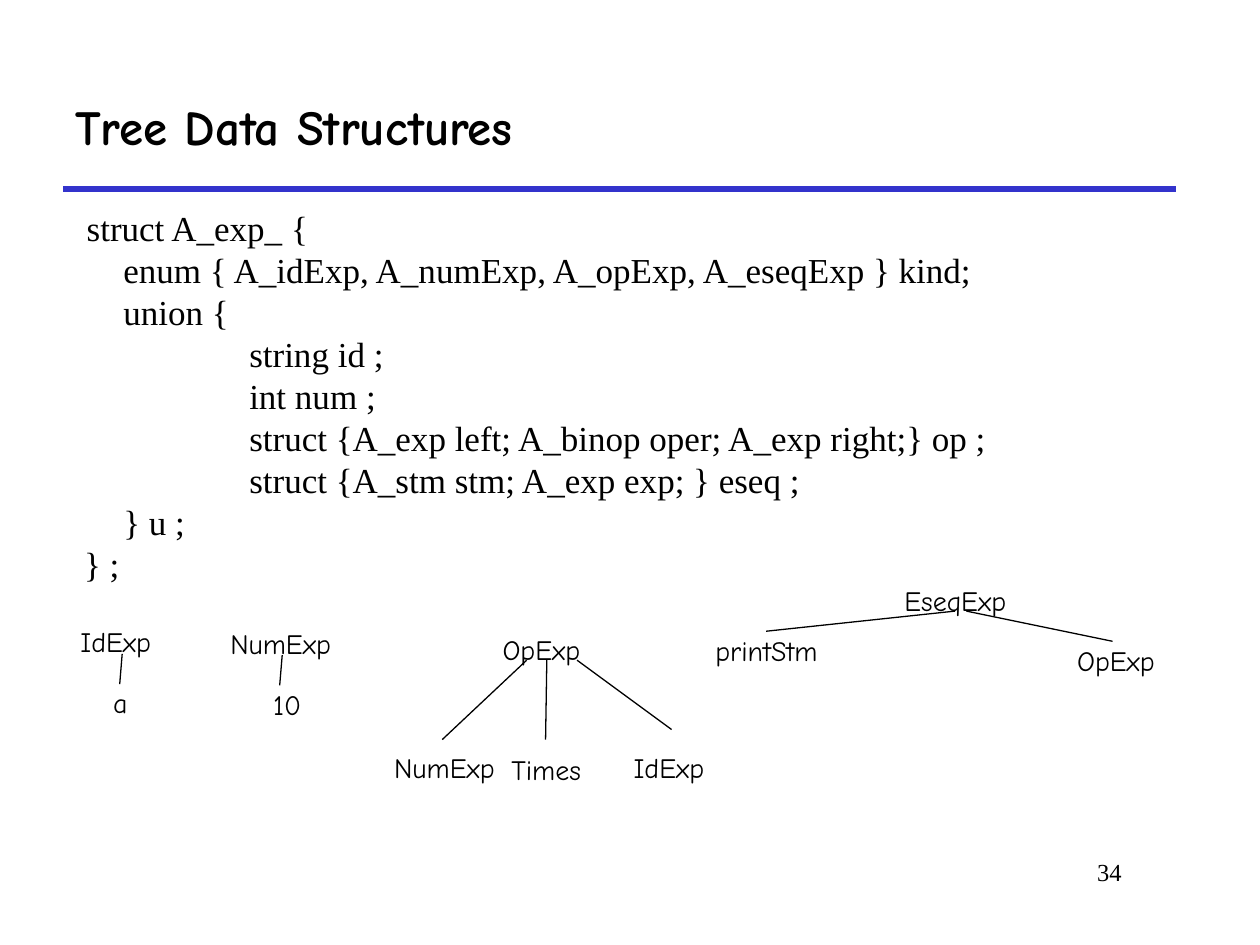
import dataclasses
import typing

import lxml.etree
import pptx
import pptx.dml.color
import pptx.enum.shapes
import pptx.enum.text
import pptx.oxml.ns
import pptx.util

Inches = pptx.util.Inches
Pt = pptx.util.Pt
Align = pptx.enum.text.PP_ALIGN
Anchor = pptx.enum.text.MSO_ANCHOR

COLORS = {"text": "000000", "rule": "3333CC"}
HAND, SERIF = "Comic Neue", "Times New Roman"
CODE = """ struct A_exp_ {
\tenum { A_idExp, A_numExp, A_opExp, A_eseqExp } kind;
\tunion {
\t\tstring id ;
\t\tint num ;
\t\tstruct {A_exp left; A_binop oper; A_exp right;} op ;
\t\tstruct {A_stm stm; A_exp exp; } eseq ;
\t} u ;
 } ;"""


@dataclasses.dataclass
class Node:
    text: str
    left: float
    top: float
    width: float


@dataclasses.dataclass
class Edge:
    x1: float
    y1: float
    x2: float
    y2: float


@dataclasses.dataclass
class Tree:
    nodes: list[Node]
    edges: list[Edge]


TREES = [
    Tree([Node("EseqExp", 7.08, 4.58, 1.07), Node("printStm", 5.58, 4.98, 1.14),
          Node("OpExp", 8.45, 5.06, 0.89)],
         [Edge(7.58, 4.85, 6.08, 5.01), Edge(7.67, 4.85, 8.83, 5.09)]),
    Tree([Node("OpExp", 3.89, 4.97, 0.89), Node("NumExp", 3.03, 5.91, 1.06),
          Node("Times", 3.96, 5.92, 0.82), Node("IdExp", 4.93, 5.91, 0.85)],
         [Edge(4.18, 5.24, 3.51, 5.87), Edge(4.34, 5.24, 4.33, 5.87),
          Edge(4.58, 5.24, 5.33, 5.79)]),
    Tree([Node("IdExp", 0.54, 4.91, 0.84), Node("a", 0.8, 5.39, 0.32)],
         [Edge(0.97, 5.19, 0.95, 5.43)]),
    Tree([Node("NumExp", 1.73, 4.92, 1.06), Node("10", 2.07, 5.41, 0.44)],
         [Edge(2.24, 5.2, 2.22, 5.44)]),
]


def add_text(shapes: typing.Any, node: Node, height: float, size: float, font: str,
             bold: bool = False, wrap: bool = True, align: Align = Align.LEFT,
             anchor: Anchor = Anchor.TOP) -> typing.Any:
    s = shapes.add_textbox(Inches(node.left), Inches(node.top),
                           Inches(node.width), Inches(height))
    tf = s.text_frame
    tf.text = node.text
    tf.word_wrap = wrap
    tf.vertical_anchor = anchor
    for p in tf.paragraphs:
        p.alignment = align
        for r in p.runs:
            r.font.name = font
            r.font.size = Pt(size)
            r.font.bold = bold
            r.font.color.rgb = pptx.dml.color.RGBColor.from_string(COLORS["text"])
    return tf


def add_line(shapes: typing.Any, edge: Edge, color: str, width: float) -> None:
    s = shapes.add_connector(pptx.enum.shapes.MSO_CONNECTOR.STRAIGHT,
                             Inches(edge.x1), Inches(edge.y1),
                             Inches(edge.x2), Inches(edge.y2))
    s.line.color.rgb = pptx.dml.color.RGBColor.from_string(COLORS[color])
    s.line.width = Pt(width)
    lxml.etree.SubElement(s._element.spPr, pptx.oxml.ns.qn("a:effectLst"))


def add_code(shapes: typing.Any) -> None:
    tf = add_text(shapes, Node(CODE, 0.5, 1.59, 9.08), 3.08, 20, SERIF)
    for i, p in enumerate(tf.paragraphs):
        p.line_spacing = Pt(24)
        pPr = p._p.get_or_add_pPr()
        pPr.set("marL", str(Inches(0.38)))
        pPr.set("indent", str(-Inches(0.38 if i else 0.36)))
        pPr.set("defTabSz", str(Inches(1)))


def add_tree(shapes: typing.Any, tree: Tree) -> None:
    group = shapes.add_group_shape().shapes
    for node in tree.nodes:
        add_text(group, node, 0.35, 16, HAND, wrap=False)
    for edge in tree.edges:
        add_line(group, edge, "text", 0.75)


def main() -> None:
    """Build the tree data structures slide."""
    prs = pptx.Presentation()
    prs.slide_width, prs.slide_height = Inches(10), Inches(7.5)
    shapes = prs.slides.add_slide(prs.slide_layouts[6]).shapes
    add_line(shapes, Edge(0.5, 1.5, 9.33, 1.5), "rule", 3)
    add_text(shapes, Node("34", 7.58, 6.75, 1.42), 0.5, 14, SERIF, align=Align.RIGHT)
    add_text(shapes, Node("Tree Data Structures", 0.5, 0.5, 8.83), 1, 28, HAND,
             bold=True, anchor=Anchor.MIDDLE)
    add_code(shapes)
    for tree in TREES:
        add_tree(shapes, tree)
    prs.save("out.pptx")


if __name__ == "__main__":
    main()
